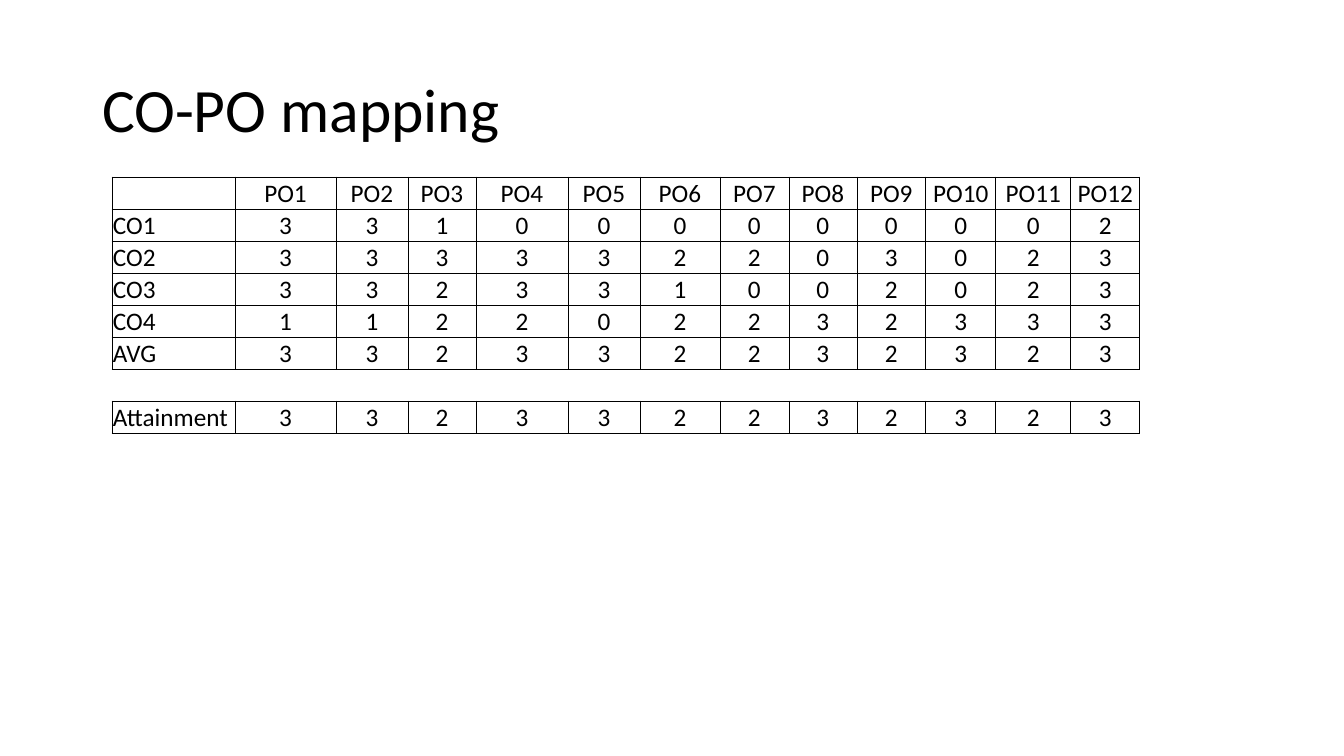
from lxml.etree import SubElement
from pptx import Presentation
from pptx.dml.color import RGBColor
from pptx.enum.text import MSO_ANCHOR, PP_ALIGN
from pptx.oxml import parse_xml
from pptx.oxml.ns import nsdecls, qn
from pptx.util import Emu, Pt

BLACK = RGBColor(0x00, 0x00, 0x00)
PAGE_WIDTH, PAGE_HEIGHT = 1344, 756
EMU_PER_PX = 12192000 / PAGE_WIDTH

COLUMN_WIDTHS = [123, 101, 72, 68, 92, 72, 80, 69, 68, 69, 70, 75, 69]
ROW_HEIGHT = 32
OUTCOMES = [""] + [f"PO{number}" for number in range(1, 13)]
MAPPING = [
    OUTCOMES,
    ["CO1", *"331000000002"],
    ["CO2", *"333332203023"],
    ["CO3", *"332331002023"],
    ["CO4", *"112202232333"],
    ["AVG", *"332332232323"],
    [""] * len(OUTCOMES),
    ["Attainment", *"332332232323"],
]


def px(length):
    return Emu(round(length * EMU_PER_PX))


class MappingSlide:
    font_name = "Calibri"
    title_size = Pt(44)
    table_size = Pt(18)
    border_width = Pt(0.5)

    def __init__(self, deck):
        self.page = deck.slides.add_slide(deck.slide_layouts[5])

    def format_runs(self, para, size):
        for span in para.runs:
            span.font.name = self.font_name
            span.font.size = size
            span.font.color.rgb = BLACK

    def title(self, text, left, top, width, height):
        box = self.page.shapes.title
        box.left, box.top, box.width, box.height = map(px, (left, top, width, height))
        frame = box.text_frame
        frame.text = text
        frame.vertical_anchor = MSO_ANCHOR.MIDDLE
        para = frame.paragraphs[0]
        para.alignment = PP_ALIGN.LEFT
        para.line_spacing = 0.9
        self.format_runs(para, self.title_size)

    def borders(self, cell, visible_sides):
        """Draw the sides named in visible_sides (L, R, T, B) and hide the rest."""
        properties = cell._tc.get_or_add_tcPr()
        for index, side in enumerate("LRTB"):
            line = parse_xml(f'<a:ln{side} {nsdecls("a")} w="{self.border_width}"/>')
            if side in visible_sides:
                fill = SubElement(line, qn("a:solidFill"))
                SubElement(fill, qn("a:srgbClr"), val=str(BLACK))
            else:
                SubElement(line, qn("a:noFill"))
            properties.insert(index, line)

    def cell(self, cell, text, is_label, visible_sides):
        cell.text = text
        cell.fill.background()
        cell.margin_left = cell.margin_right = cell.margin_top = px(1)
        cell.margin_bottom = 0
        cell.vertical_anchor = MSO_ANCHOR.BOTTOM if is_label else MSO_ANCHOR.MIDDLE
        para = cell.text_frame.paragraphs[0]
        para.alignment = PP_ALIGN.LEFT if is_label else PP_ALIGN.CENTER
        self.format_runs(para, self.table_size)
        self.borders(cell, visible_sides)

    def table(self, rows, left, top):
        size = sum(COLUMN_WIDTHS), ROW_HEIGHT * len(rows)
        frame = self.page.shapes.add_table(
            len(rows), len(COLUMN_WIDTHS), *map(px, (left, top, *size))
        )
        table = frame.table
        table.first_row = table.horz_banding = False
        for column, width in zip(table.columns, COLUMN_WIDTHS):
            column.width = px(width)
        for row, values in zip(table.rows, rows):
            row.height = px(ROW_HEIGHT)
            visible_sides = "LRTB" if any(values) else "TB"
            for index, (cell, value) in enumerate(zip(row.cells, values)):
                self.cell(cell, value, index == 0, visible_sides)


def main():
    deck = Presentation()
    deck.slide_width, deck.slide_height = px(PAGE_WIDTH), px(PAGE_HEIGHT)
    slide = MappingSlide(deck)
    slide.title("CO-PO mapping", 92, 40, 1159, 146)
    slide.table(MAPPING, 112, 177)
    deck.save("out.pptx")


if __name__ == "__main__":
    main()
